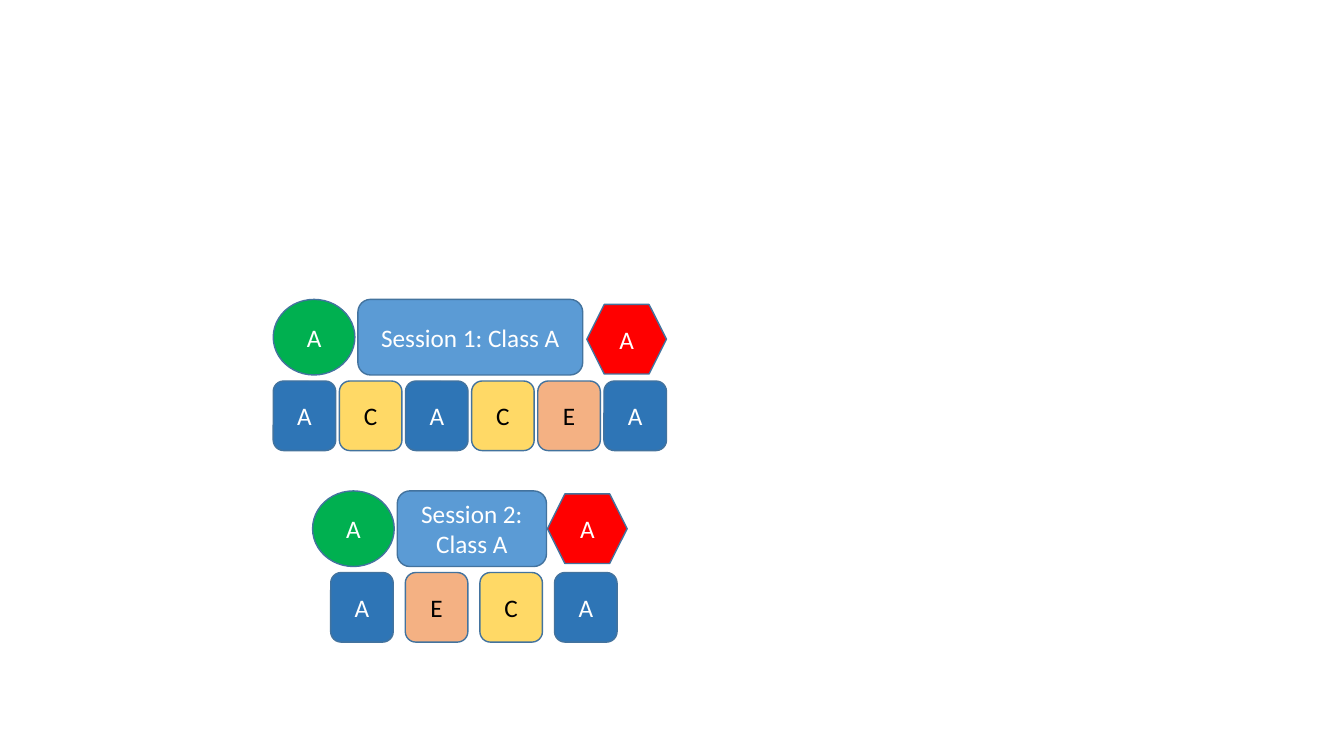
from pptx import Presentation
from pptx.dml.color import RGBColor
from pptx.enum.shapes import MSO_SHAPE
from pptx.enum.text import MSO_ANCHOR, PP_ALIGN
from pptx.util import Inches, Pt

SESSIONS = [
    {"title": "Session 1: Class A", "top": 2.97, "start_left": 2.71,
     "title_left": 3.55, "title_width": 2.23, "end_left": 5.82, "end_drop": 0.05,
     "tiles": "ACACEA", "first_tile": 2.71, "last_tile": 5.99},
    {"title": "Session 2: Class A", "top": 4.87, "start_left": 3.1,
     "title_left": 3.94, "title_width": 1.48, "end_left": 5.43, "end_drop": 0.03,
     "tiles": "AECA", "first_tile": 3.28, "last_tile": 5.5},
]
TILE_COLORS = {"A": ("2E75B6", "FFFFFF"), "C": ("FFD966", "000000"), "E": ("F4B183", "000000")}
OUTLINE = "43739E"
HEADER_HEIGHT = 0.75
START_WIDTH = 0.81
END_WIDTH = 0.79
TILE_WIDTH, TILE_HEIGHT = 0.62, 0.69
TILE_DROP = 0.81


def color(hex_value):
    return RGBColor.from_string(hex_value)


def add_block(slide, preset, left, top, width, height, label, fill, ink="FFFFFF"):
    block = slide.shapes.add_shape(
        preset, Inches(left), Inches(top), Inches(width), Inches(height))
    block.shadow.inherit = False
    block.fill.solid()
    block.fill.fore_color.rgb = color(fill)
    block.line.color.rgb = color(OUTLINE)
    block.line.width = Pt(1)
    frame = block.text_frame
    frame.word_wrap = True
    frame.vertical_anchor = MSO_ANCHOR.MIDDLE
    paragraph = frame.paragraphs[0]
    paragraph.text = label
    paragraph.alignment = PP_ALIGN.CENTER
    paragraph.font.name = "Calibri"
    paragraph.font.size = Pt(18)
    paragraph.font.color.rgb = color(ink)


def add_session(slide, session):
    top = session["top"]
    add_block(slide, MSO_SHAPE.ROUNDED_RECTANGLE, session["title_left"], top,
              session["title_width"], HEADER_HEIGHT, session["title"], "5B9BD5")
    add_block(slide, MSO_SHAPE.HEXAGON, session["end_left"], top + session["end_drop"],
              END_WIDTH, TILE_HEIGHT, "A", "FF0000")
    add_block(slide, MSO_SHAPE.OVAL, session["start_left"], top,
              START_WIDTH, HEADER_HEIGHT, "A", "00B050")
    tiles = session["tiles"]
    pitch = (session["last_tile"] - session["first_tile"]) / (len(tiles) - 1)
    for index, letter in enumerate(tiles):
        add_block(slide, MSO_SHAPE.ROUNDED_RECTANGLE, session["first_tile"] + index * pitch,
                  top + TILE_DROP, TILE_WIDTH, TILE_HEIGHT, letter, *TILE_COLORS[letter])


def main():
    presentation = Presentation()
    presentation.slide_width = Inches(13.33)
    presentation.slide_height = Inches(7.5)
    slide = presentation.slides.add_slide(presentation.slide_layouts[6])
    for session in SESSIONS:
        add_session(slide, session)
    presentation.save("out.pptx")


if __name__ == "__main__":
    main()
